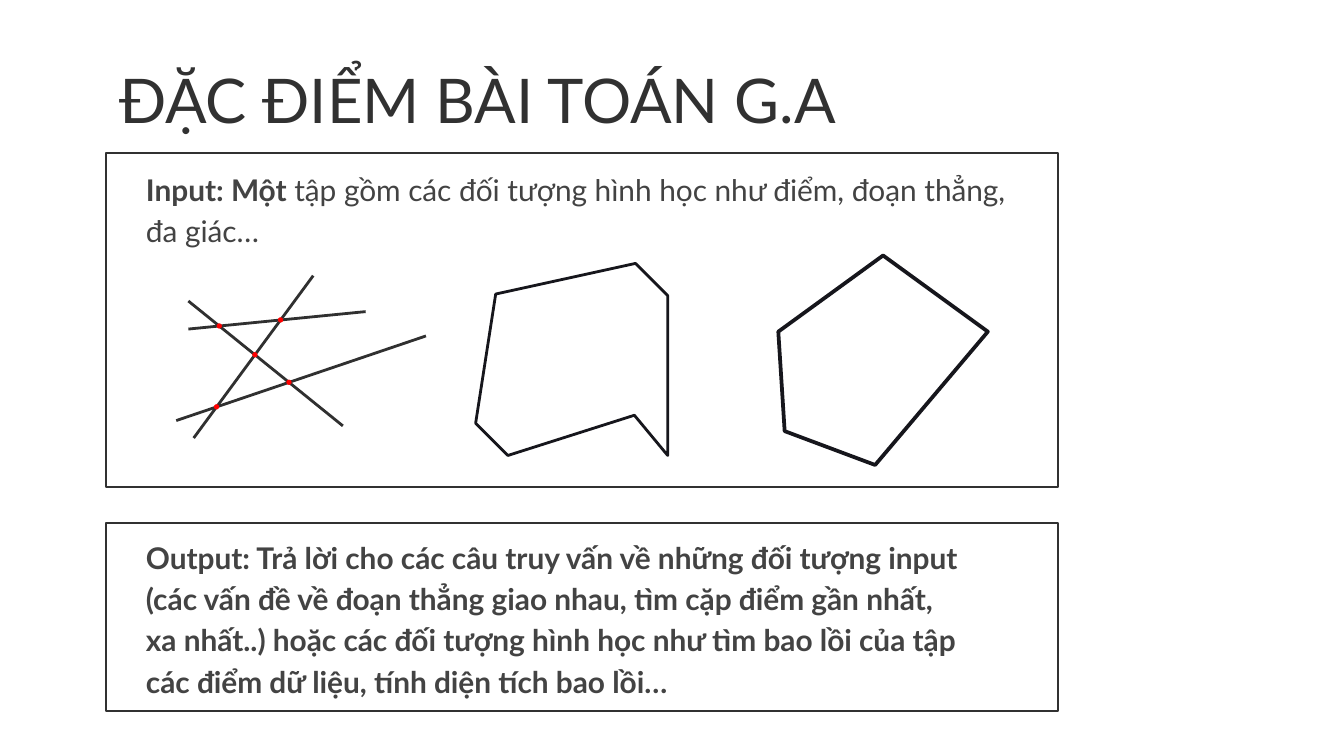
"""Build a slide on the input and output of geometric algorithm problems."""
from itertools import combinations

from lxml import etree
from pptx import Presentation, util as u
from pptx.dml.color import RGBColor
from pptx.enum import shapes, text
from pptx.oxml.ns import qn

FONT = "Lato"
TITLE_COLOR = RGBColor(0x31, 0x31, 0x31)
BODY_COLOR = RGBColor(0x43, 0x43, 0x43)
SEGMENT_COLOR = RGBColor(0x30, 0x30, 0x30)
POLYGON_COLOR = RGBColor(0x16, 0x16, 0x1C)
CROSSING_COLOR = RGBColor(0xFF, 0x00, 0x00)
WHITE = RGBColor(0xFF, 0xFF, 0xFF)

LEFT, BOX_WIDTH, CROSSING_SIZE = 2, 18, 0.1

TITLE = "ĐẶC ĐIỂM BÀI TOÁN G.A"
INPUT = [[("Input: Một", True),
          (" tập gồm các đối tượng hình học như điểm, đoạn thẳng, đa giác…", False)]]
OUTPUT = [[(line, True)] for line in (
    "Output: Trả lời cho các câu truy vấn về những đối tượng input",
    "(các vấn đề về đoạn thẳng giao nhau, tìm cặp điểm gần nhất,",
    "xa nhất..) hoặc các đối tượng hình học như tìm bao lồi của tập",
    "các điểm dữ liệu, tính diện tích bao lồi…",
)]
SEGMENTS = [
    ((3.56, 5.69), (6.48, 8.05)),
    ((3.56, 6.22), (6.91, 5.89)),
    ((3.33, 7.95), (8.05, 6.35)),
    ((3.66, 8.28), (5.92, 5.21)),
]
CONCAVE_POLYGON = [(9.37, 5.56), (12.01, 4.98), (12.62, 5.59), (12.62, 8.61),
                   (11.99, 7.85), (9.6, 8.61), (8.99, 8)]
CONVEX_POLYGON = [(14.71, 6.27), (16.69, 4.83), (18.67, 6.27),
                  (16.54, 8.79), (14.83, 8.15)]


def set_frame(frame, side_inset, anchor):
    """Set the wrapping, margins and anchor of a text frame."""
    frame.word_wrap = True
    frame.margin_left = frame.margin_right = u.Cm(side_inset)
    frame.margin_top = frame.margin_bottom = u.Cm(0.25)
    frame.vertical_anchor = anchor


def add_run(paragraph, words, size, color, bold=False):
    """Append a formatted run to a paragraph."""
    run = paragraph.add_run()
    run.text = words
    run.font.name, run.font.size, run.font.bold = FONT, u.Pt(size), bold
    run.font.color.rgb = color


def add_title(slide):
    """Add the slide title."""
    title = slide.shapes.add_textbox(u.Cm(LEFT), u.Cm(1.07), u.Cm(17.63), u.Cm(1.6))
    set_frame(title.text_frame, 0.25, text.MSO_ANCHOR.MIDDLE)
    add_run(title.text_frame.paragraphs[0], TITLE, 33, TITLE_COLOR)


def add_text_box(slide, top, height, lines, anchor):
    """Add an outlined box holding lines of (words, bold) pairs."""
    box = slide.shapes.add_shape(shapes.MSO_SHAPE.RECTANGLE, u.Cm(LEFT), u.Cm(top),
                                 u.Cm(BOX_WIDTH), u.Cm(height))
    box.shadow.inherit = False
    box.fill.background()
    box.line.color.rgb = TITLE_COLOR
    box.line.width = u.Pt(1)
    frame = box.text_frame
    set_frame(frame, 0.76, anchor)
    for index, line in enumerate(lines):
        paragraph = frame.add_paragraph() if index else frame.paragraphs[0]
        paragraph.alignment = text.PP_ALIGN.LEFT
        paragraph.line_spacing = 1.15
        for words, bold in line:
            add_run(paragraph, words, 16, BODY_COLOR, bold)


def add_segment(slide, start, end):
    """Draw a line segment between two points."""
    segment = slide.shapes.add_connector(shapes.MSO_CONNECTOR.STRAIGHT,
                                         *map(u.Cm, start + end))
    segment.line.color.rgb = SEGMENT_COLOR
    segment.line.width = u.Pt(1.5)
    etree.SubElement(segment._element.spPr, qn("a:effectLst"))


def find_crossing(first, second):
    """Return the point where two segments cross, or None."""
    (ax, ay), (bx, by) = first
    (cx, cy), (dx, dy) = second
    ux, uy, vx, vy = bx - ax, by - ay, dx - cx, dy - cy
    cross = ux * vy - uy * vx
    if not cross:
        return None
    along_first = ((cx - ax) * vy - (cy - ay) * vx) / cross
    along_second = ((cx - ax) * uy - (cy - ay) * ux) / cross
    if 0 <= along_first <= 1 and 0 <= along_second <= 1:
        return ax + along_first * ux, ay + along_first * uy
    return None


def add_crossing(slide, x, y):
    """Mark a crossing with a dot centred on it."""
    size = u.Cm(CROSSING_SIZE)
    dot = slide.shapes.add_shape(shapes.MSO_SHAPE.OVAL, u.Cm(x - CROSSING_SIZE / 2),
                                 u.Cm(y - CROSSING_SIZE / 2), size, size)
    dot.shadow.inherit = False
    dot.fill.solid()
    dot.fill.fore_color.rgb = CROSSING_COLOR
    dot.line.fill.background()


def add_polygon(slide, corners, line_width):
    """Draw a closed polygon through the corners."""
    start, *others = [(u.Cm(x), u.Cm(y)) for x, y in corners]
    builder = slide.shapes.build_freeform(*start)
    builder.add_line_segments(others, close=True)
    polygon = builder.convert_to_shape()
    polygon.shadow.inherit = False
    polygon.fill.solid()
    polygon.fill.fore_color.rgb = WHITE
    polygon.line.color.rgb = POLYGON_COLOR
    polygon.line.width = u.Pt(line_width)


def main():
    """Build and save the slide."""
    deck = Presentation()
    deck.slide_width, deck.slide_height = u.Cm(25.4), u.Cm(14.29)
    slide = deck.slides.add_slide(deck.slide_layouts[6])
    add_text_box(slide, 2.9, 6.3, INPUT, text.MSO_ANCHOR.TOP)
    add_title(slide)
    add_text_box(slide, 9.88, 3.56, OUTPUT, text.MSO_ANCHOR.MIDDLE)
    for start, end in SEGMENTS:
        add_segment(slide, start, end)
    for first, second in combinations(SEGMENTS, 2):
        crossing = find_crossing(first, second)
        if crossing:
            add_crossing(slide, *crossing)
    add_polygon(slide, CONCAVE_POLYGON, 1.5)
    add_polygon(slide, CONVEX_POLYGON, 2)
    deck.save("out.pptx")


if __name__ == "__main__":
    main()
